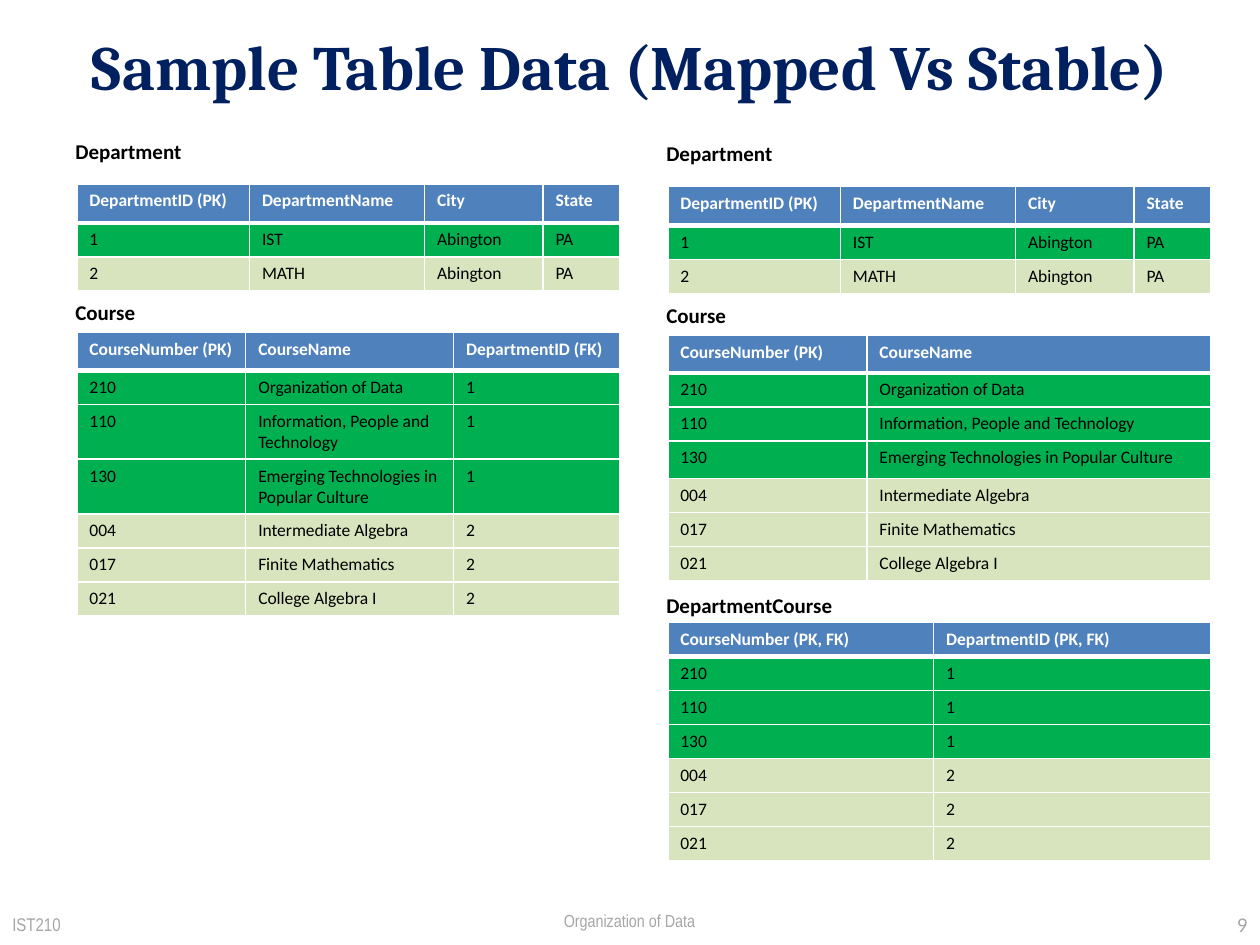
from lxml import etree
from pptx import Presentation
from pptx.dml.color import RGBColor
from pptx.enum.text import MSO_ANCHOR as ANCHOR, PP_ALIGN as ALIGN
from pptx.oxml.ns import qn
from pptx.util import Inches, Pt

NAVY = RGBColor(0x00, 0x20, 0x60)
GRAY = RGBColor(0xA6, 0xA6, 0xA6)
BLACK = RGBColor(0x00, 0x00, 0x00)
WHITE = RGBColor(0xFF, 0xFF, 0xFF)
BLUE = RGBColor(0x4F, 0x81, 0xBD)
GREEN = RGBColor(0x00, 0xB0, 0x50)
PALE = RGBColor(0xD7, 0xE4, 0xBD)

DEPARTMENTS = [
    ("DepartmentID (PK)", "DepartmentName", "City", "State"),
    ("1", "IST", "Abington", "PA"),
    ("2", "MATH", "Abington", "PA"),
]
COURSES = [
    ("210", "Organization of Data", "1"),
    ("110", "Information, People and Technology", "1"),
    ("130", "Emerging Technologies in Popular Culture", "1"),
    ("004", "Intermediate Algebra", "2"),
    ("017", "Finite Mathematics", "2"),
    ("021", "College Algebra I", "2"),
]
MAPPED_COURSES = [("CourseNumber (PK)", "CourseName", "DepartmentID (FK)")] + COURSES
STABLE_COURSES = [("CourseNumber (PK)", "CourseName")] + [c[:2] for c in COURSES]
LINKS = [("CourseNumber (PK, FK)", "DepartmentID (PK, FK)")] + [(c[0], c[2]) for c in COURSES]

DEPARTMENT_COLS = [1.37, 1.39, 0.94, 0.61]
DEPARTMENT_ROWS = [0.31, 0.27, 0.27]
COURSE_ROWS = [0.3, 0.27, 0.27, 0.3, 0.27, 0.27, 0.27]
LINK_ROWS = [0.27] * 7


def write(tf, text, size=10, font="Calibri", color=BLACK, bold=False, align=ALIGN.LEFT):
    p = tf.paragraphs[0]
    p.alignment = align
    r = p.add_run()
    r.text = text
    r.font.size = Pt(size)
    r.font.name = font
    r.font.bold = bold
    r.font.color.rgb = color


def add_text(s, box, text, anchor=ANCHOR.TOP, **fmt):
    tf = s.shapes.add_textbox(*map(Inches, box)).text_frame
    tf.word_wrap = True
    tf.vertical_anchor = anchor
    write(tf, text, **fmt)


def set_borders(cell, bottom):
    tcPr = cell._tc.get_or_add_tcPr()
    widths = {"a:lnL": 1, "a:lnR": 1, "a:lnT": 1, "a:lnB": bottom}
    for i, (tag, width) in enumerate(widths.items()):
        ln = etree.Element(qn(tag), w=str(Pt(width)))
        fill = etree.SubElement(ln, qn("a:solidFill"))
        etree.SubElement(fill, qn("a:srgbClr"), val=str(WHITE))
        tcPr.insert(i, ln)


def add_data_table(s, left, top, rows, widths, heights, green_rows):
    box = map(Inches, (left, top, sum(widths), sum(heights)))
    table = s.shapes.add_table(len(rows), len(widths), *box).table
    for column, width in zip(table.columns, widths):
        column.width = Inches(width)
    for i, (values, height) in enumerate(zip(rows, heights)):
        table.rows[i].height = Inches(height)
        header = i == 0
        fill = BLUE if header else GREEN if i <= green_rows else PALE
        for j, value in enumerate(values):
            cell = table.cell(i, j)
            cell.fill.solid()
            cell.fill.fore_color.rgb = fill
            write(cell.text_frame, value, color=WHITE if header else BLACK, bold=header)
            set_borders(cell, 3 if header else 1)


def add_section(s, left, top, name, gap, *data):
    add_text(s, (left, top, 2.57, 0.3), name, size=12, bold=True)
    add_data_table(s, left + 0.11, top + gap, *data)


def add_schema(s, left, top, courses, course_cols):
    add_section(s, left, top, "Department", 0.41,
                DEPARTMENTS, DEPARTMENT_COLS, DEPARTMENT_ROWS, 1)
    add_section(s, left, top + 1.28, "Course", 0.31, courses, course_cols, COURSE_ROWS, 3)


def add_footer(s, top, height):
    add_text(s, (0, top, 2.83, height), "IST210", ANCHOR.MIDDLE,
             size=10.5, font="Arial Narrow", color=GRAY)
    add_text(s, (2.83, top, 4.33, height), "Organization of Data",
             size=10, font="Arial Narrow", color=GRAY, align=ALIGN.CENTER)
    add_text(s, (7.17, top, 2.83, height), "9", ANCHOR.MIDDLE,
             size=12, color=GRAY, align=ALIGN.RIGHT)


def main():
    prs = Presentation()
    prs.slide_width, prs.slide_height = Inches(10), Inches(7.5)
    s = prs.slides.add_slide(prs.slide_layouts[6])
    add_text(s, (0.5, 0, 9, 1.04), "Sample Table Data (Mapped Vs Stable)", ANCHOR.MIDDLE,
             size=36, font="Cambria", color=NAVY, bold=True, align=ALIGN.CENTER)
    add_schema(s, 0.5, 1.05, MAPPED_COURSES, [1.34, 1.65, 1.32])
    add_schema(s, 5.19, 1.07, STABLE_COURSES, [1.58, 2.73])
    add_section(s, 5.19, 4.65, "DepartmentCourse", 0.29, LINKS, [2.11, 2.2], LINK_ROWS, 3)
    add_footer(s, 7.17, 0.33)
    prs.save("out.pptx")


if __name__ == "__main__":
    main()
